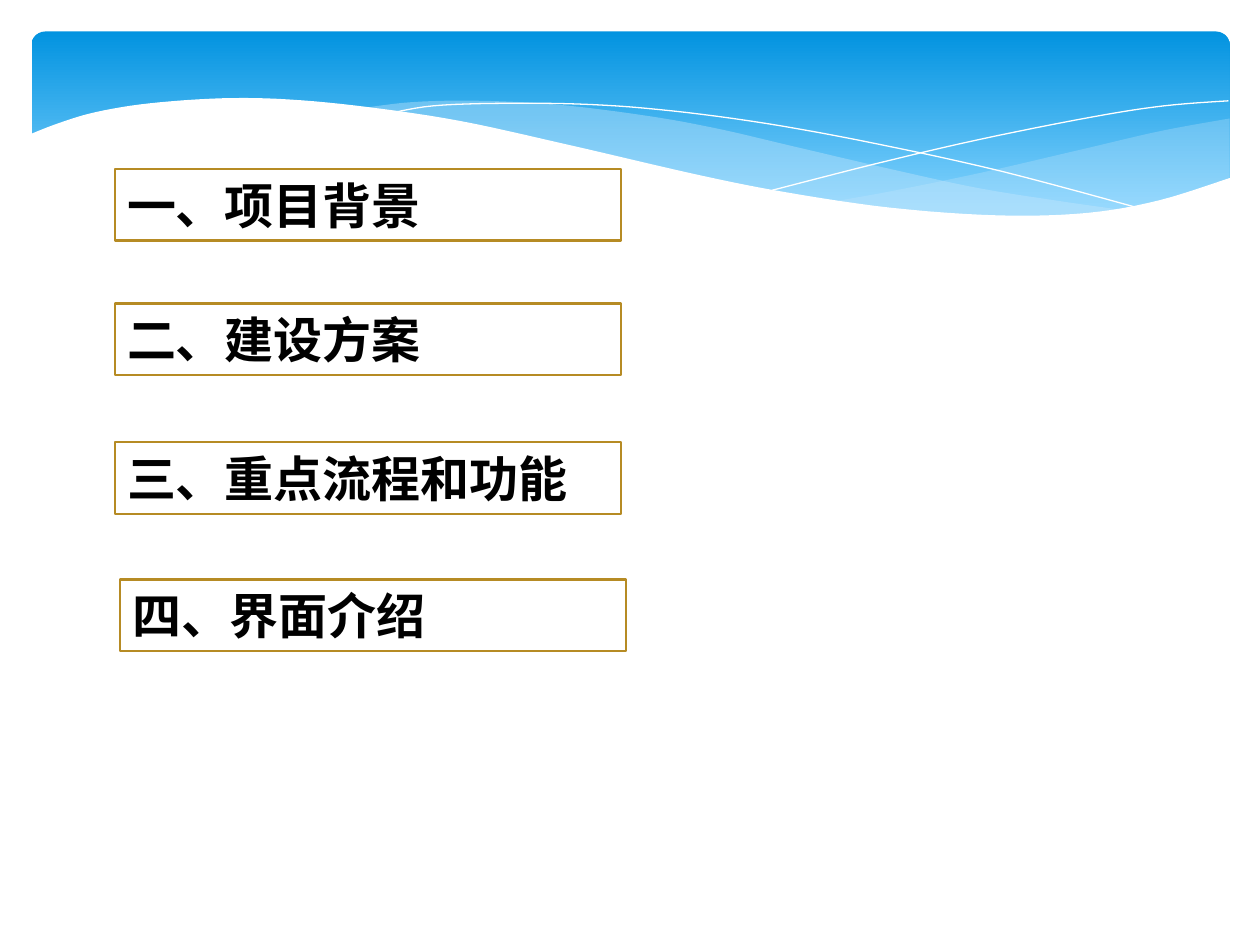
"""Builds an agenda slide with a blue wave banner and four boxed topics."""
from lxml import etree
from pptx import Presentation
from pptx import util as u
from pptx.dml.color import RGBColor
from pptx.enum import shapes, text
from pptx.oxml import ns

PX = 9144
FONT = "Cabin"
DEEP = RGBColor(0x02, 0x93, 0xE0)
SKY = RGBColor(0x83, 0xD3, 0xFE)
PALE = RGBColor(0xC6, 0xE7, 0xFC)
GOLD = RGBColor(0xB6, 0x8B, 0x24)
WHITE = RGBColor(0xFF, 0xFF, 0xFF)
BLACK = RGBColor(0, 0, 0)

RIGHT_TOP = [(976, 94), (921, 104), (861, 118), (779, 137), (706, 152), (661, 160)]
RIGHT_LOW = [(661, 160), (719, 167), (769, 171), (824, 172), (881, 167),
             (928, 158), (976, 141)]
MID_TOP = [(286, 86), (328, 81), (380, 80), (442, 83), (514, 92), (569, 102),
           (629, 116), (706, 134), (775, 149), (837, 159), (893, 167)]
MID_LOW = [(893, 167), (838, 172), (773, 172), (709, 166), (634, 156), (566, 143),
           (491, 126), (427, 110), (362, 97), (323, 90), (286, 86)]
FALL = [(309, 90), (344, 84), (401, 82), (469, 83), (533, 88), (608, 98),
        (695, 114), (795, 136), (907, 166)]
RISE = [(613, 151), (695, 130), (776, 111), (866, 93), (924, 84), (975, 80)]
FRONT = [(977, 141), (920, 159), (863, 169), (793, 171), (708, 165), (626, 153),
         (555, 139), (447, 114), (365, 96), (292, 85), (230, 79), (177, 78),
         (119, 82), (76, 89), (46, 98), (23, 107)]
BASE = [(23, 224), (977, 224)]

TOPICS = [
    ("一、项目背景", 91, 134),
    ("二、建设方案", 91, 241),
    ("三、重点流程和功能", 91, 351),
    ("四、界面介绍", 95, 460),
]


def curve(knots, steps=6):
    """Return points of a smooth Catmull-Rom curve through the knots."""
    ends = [knots[0], *knots, knots[-1]]
    points = [knots[0]]
    for quad in zip(ends, ends[1:], ends[2:], ends[3:]):
        for step in range(1, steps + 1):
            t = step / steps
            points.append(tuple(
                (2 * b + (c - a) * t + (2 * a - 5 * b + 4 * c - d) * t ** 2
                 + (3 * b - a - 3 * c + d) * t ** 3) / 2
                for a, b, c, d in zip(*quad)))
    return points


def trace(slide, points, close):
    """Draw a freeform through points given in px."""
    spots = [(round(x * PX), round(y * PX)) for x, y in points]
    pen = slide.shapes.build_freeform(*spots[0])
    pen.add_line_segments(spots[1:], close=close)
    shape = pen.convert_to_shape()
    shape.shadow.inherit = False
    return shape


def add_wave(slide, points, color, alpha=100):
    """Add a filled wave with an opacity in percent."""
    wave = trace(slide, points, True)
    wave.fill.solid()
    wave.fill.fore_color.rgb = color
    wave.line.fill.background()
    if alpha < 100:
        tint = wave.fill._xPr.find(".//" + ns.qn("a:srgbClr"))
        etree.SubElement(tint, ns.qn("a:alpha"), val=str(alpha * 1000))


def add_thread(slide, knots):
    """Add a white hairline curve."""
    thread = trace(slide, curve(knots), False)
    thread.fill.background()
    thread.line.color.rgb = WHITE
    thread.line.width = u.Pt(0)


def add_block(slide, kind, left, top, width, height):
    """Add a preset shape without shadow, placed in px."""
    block = slide.shapes.add_shape(
        kind, *(n * PX for n in (left, top, width, height)))
    block.shadow.inherit = False
    return block


def add_banner(slide):
    """Add the rounded gradient banner."""
    banner = add_block(slide, shapes.MSO_SHAPE.ROUNDED_RECTANGLE, 25, 25, 951, 156)
    banner.adjustments[0] = 0.07
    banner.line.fill.background()
    banner.fill.gradient()
    banner.fill.gradient_angle = 270
    for stop, color, place in zip(banner.fill.gradient_stops, (DEEP, SKY), (0, 0.9)):
        stop.color.rgb = color
        stop.position = place


def add_topic(slide, words, left, top):
    """Add one gold-framed topic box."""
    box = add_block(slide, shapes.MSO_SHAPE.RECTANGLE, left, top, 402, 57)
    box.fill.solid()
    box.fill.fore_color.rgb = WHITE
    box.line.color.rgb = GOLD
    box.line.width = u.Pt(1.25)
    frame = box.text_frame
    frame.word_wrap = True
    frame.auto_size = text.MSO_AUTO_SIZE.SHAPE_TO_FIT_TEXT
    frame.vertical_anchor = text.MSO_ANCHOR.TOP
    para = frame.paragraphs[0]
    para.alignment = text.PP_ALIGN.LEFT
    run = para.add_run()
    run.text = words
    run.font.name = FONT
    run.font.size = u.Pt(28)
    run.font.bold = True
    run.font.color.rgb = BLACK


def main():
    """Build and save the slide."""
    deck = Presentation()
    deck.slide_width, deck.slide_height = 1000 * PX, 750 * PX
    slide = deck.slides.add_slide(deck.slide_layouts[6])
    add_banner(slide)
    add_wave(slide, curve(RIGHT_TOP) + curve(RIGHT_LOW), PALE, 29)
    add_wave(slide, curve(MID_TOP) + curve(MID_LOW), PALE, 40)
    add_thread(slide, FALL)
    add_thread(slide, RISE)
    add_wave(slide, curve(FRONT) + BASE, WHITE)
    for topic in TOPICS:
        add_topic(slide, *topic)
    deck.save("out.pptx")


if __name__ == "__main__":
    main()
